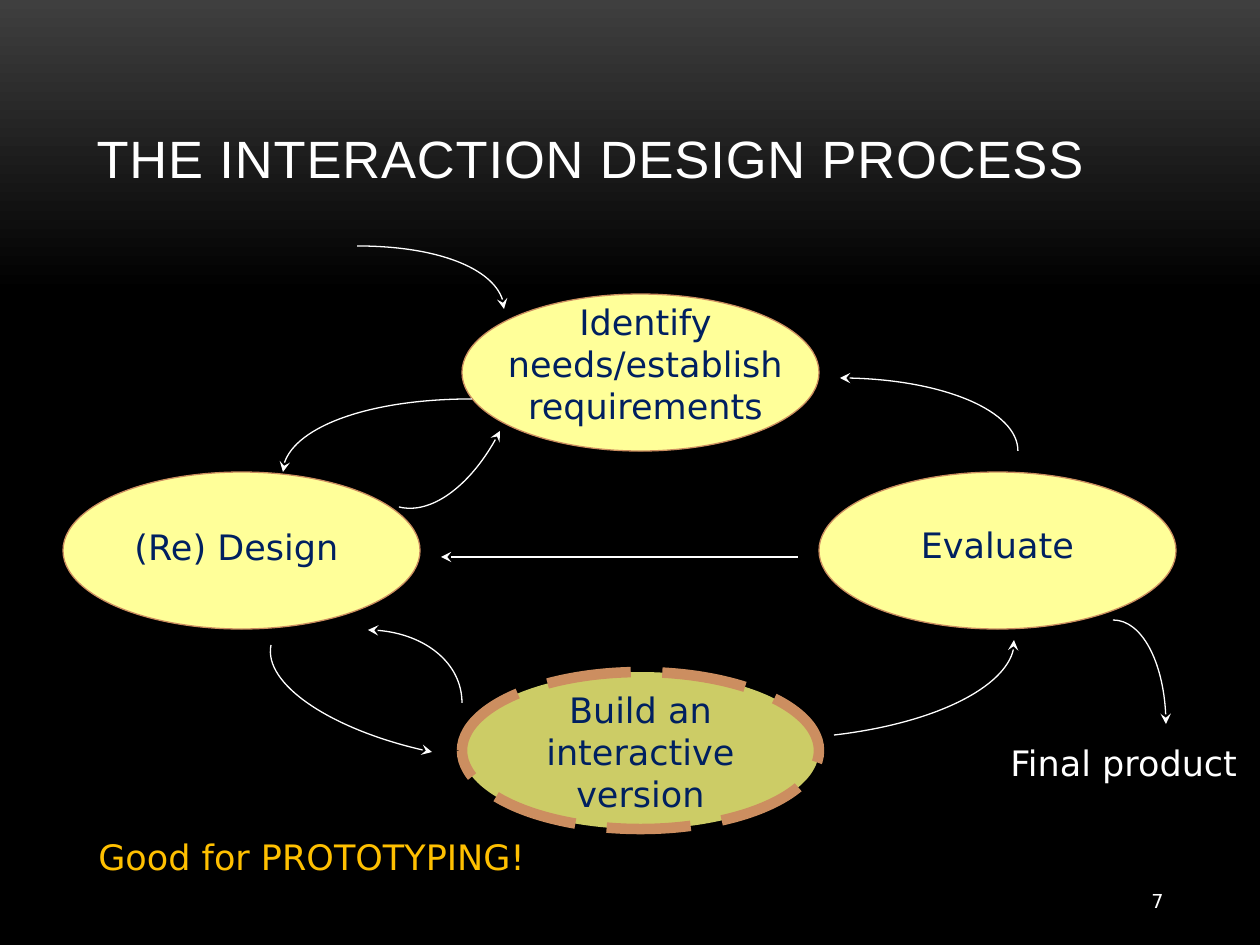
from lxml import etree
from pptx import Presentation
from pptx.dml.color import RGBColor
from pptx.enum.dml import MSO_LINE
from pptx.enum.shapes import MSO_CONNECTOR, MSO_SHAPE
from pptx.enum.text import MSO_ANCHOR as Anchor, PP_ALIGN as Align
from pptx.oxml.ns import qn
from pptx.util import Pt

PX = 914400 / 126
WHITE = RGBColor(0xFF, 0xFF, 0xFF)
BLACK = RGBColor(0, 0, 0)
GREY = RGBColor(0x3F, 0x3F, 0x3F)
YELLOW = RGBColor(0xFF, 0xFF, 0x99)
OLIVE = RGBColor(0xCC, 0xCC, 0x66)
COPPER = RGBColor(0xCC, 0x8E, 0x60)
NAVY = RGBColor(0x00, 0x20, 0x60)
AMBER = RGBColor(0xFF, 0xC0, 0x00)
BODY_FONT = "DejaVu Sans"

TITLE = "THE INTERACTION DESIGN PROCESS"
ELLIPSE_SIZE = (357, 157)
STEPS = [
    ("Identify needs/establish requirements", (462, 294), (488, 294, 315, 139), YELLOW, 0.75, None),
    ("Build an interactive version", (462, 672), (483, 682, 315, 139), OLIVE, 6, MSO_LINE.LONG_DASH),
    ("Evaluate", (819, 472), (840, 517, 315, 54), YELLOW, 0.75, None),
    ("(Re) Design", (63, 472), (79, 519, 315, 54), YELLOW, 0.75, None),
]
CURVES = [
    [(357, 246), (438, 246), (504, 273), (504, 309)],
    [(834, 735), (937, 723), (1018, 680), (1014, 640)],
    [(271, 645), (263, 684), (335, 732), (432, 752)],
    [(462, 703), (462, 663), (420, 630), (368, 630)],
    [(472, 399), (368, 399), (283, 432), (283, 472)],
    [(1018, 451), (1018, 411), (939, 378), (840, 378)],
    [(1113, 620), (1142, 620), (1166, 667), (1166, 724)],
    [(399, 507), (431, 515), (474, 483), (500, 431)],
]
EVALUATE_TO_DESIGN = (798, 557, 441, 557)
NOTES = [
    ("Final product", (998, 735, 262, 54), 20, WHITE, Align.LEFT, Anchor.TOP),
    ("Good for PROTOTYPING!", (86, 829, 476, 55), 20, AMBER, Align.LEFT, Anchor.TOP),
    ("7", (1040, 876, 136, 50), 11, WHITE, Align.RIGHT, Anchor.MIDDLE),
]


def emu(*lengths):
    return [round(length * PX) for length in lengths]


def write(frame, text, size, color, align, anchor, font=BODY_FONT):
    frame.text = text
    frame.word_wrap = True
    frame.vertical_anchor = anchor
    paragraph = frame.paragraphs[0]
    paragraph.alignment = align
    run = paragraph.runs[0]
    run.font.name = font
    run.font.size = Pt(size)
    run.font.color.rgb = color
    return run


def add_step(shapes, text, corner, label_box, fill, line_width, dash):
    members = shapes.add_group_shape().shapes
    ellipse = members.add_shape(MSO_SHAPE.OVAL, *emu(*corner, *ELLIPSE_SIZE))
    ellipse.shadow.inherit = False
    ellipse.fill.solid()
    ellipse.fill.fore_color.rgb = fill
    ellipse.line.color.rgb = COPPER
    ellipse.line.width = Pt(line_width)
    if dash:
        ellipse.line.dash_style = dash
    label = members.add_textbox(*emu(*label_box))
    write(label.text_frame, text, 20, NAVY, Align.CENTER, Anchor.TOP)


def style_arrow(arrow):
    arrow.line.color.rgb = WHITE
    arrow.line.width = Pt(0.75)
    properties = arrow._element.spPr
    etree.SubElement(properties.find(qn("a:ln")), qn("a:tailEnd"), type="stealth")
    etree.SubElement(properties, qn("a:effectLst"))


def add_curve(shapes, points):
    start, *controls = [emu(*point) for point in points]
    builder = shapes.build_freeform(*start)
    builder.add_line_segments(controls, close=False)
    curve = builder.convert_to_shape()
    outline = curve._element.spPr.find(".//" + qn("a:path"))
    segments = outline.findall(qn("a:lnTo"))
    bezier = etree.SubElement(outline, qn("a:cubicBezTo"))
    for segment in segments:
        bezier.append(segment[0])
        outline.remove(segment)
    curve.fill.background()
    style_arrow(curve)


def main():
    deck = Presentation()
    deck.slide_width, deck.slide_height = emu(1260, 945)
    slide = deck.slides.add_slide(deck.slide_layouts[5])
    shapes = slide.shapes

    backdrop = slide.background.fill
    backdrop.gradient()
    backdrop.gradient_angle = 270
    for stop, color, position in zip(backdrop.gradient_stops, (GREY, BLACK), (0, 0.31)):
        stop.color.rgb = color
        stop.position = position

    title = shapes.title
    title.left, title.top, title.width, title.height = emu(84, 38, 1092, 157)
    heading = write(title.text_frame, TITLE, 30, WHITE, Align.LEFT, Anchor.BOTTOM, "Arial")
    heading.font._element.set("spc", "50")

    for step in STEPS:
        add_step(shapes, *step)
    for points in CURVES:
        add_curve(shapes, points)
    style_arrow(shapes.add_connector(MSO_CONNECTOR.STRAIGHT, *emu(*EVALUATE_TO_DESIGN)))
    for text, box, *style in NOTES:
        write(shapes.add_textbox(*emu(*box)).text_frame, text, *style)

    deck.save("out.pptx")


if __name__ == "__main__":
    main()
